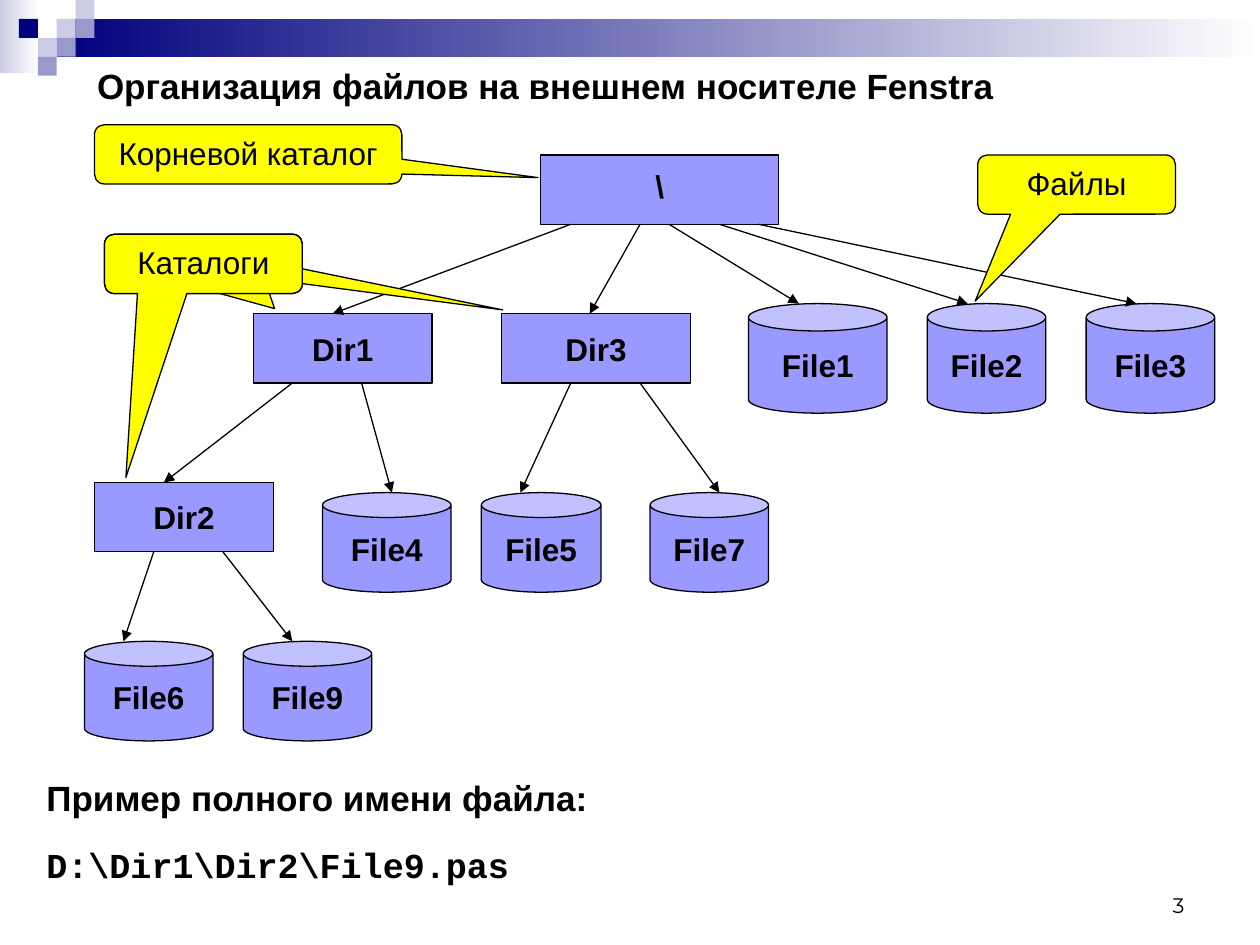
from pptx import Presentation
from pptx.dml.color import RGBColor
from pptx.enum.shapes import MSO_CONNECTOR, MSO_SHAPE
from pptx.enum.text import MSO_ANCHOR, PP_ALIGN
from pptx.oxml.ns import qn
from pptx.util import Inches, Pt
from lxml import etree

RECT, CAN = MSO_SHAPE.RECTANGLE, MSO_SHAPE.CAN
CALLOUT = MSO_SHAPE.ROUNDED_RECTANGULAR_CALLOUT
STRAIGHT = MSO_CONNECTOR.STRAIGHT
TOP, MIDDLE, BOTTOM = MSO_ANCHOR.TOP, MSO_ANCHOR.MIDDLE, MSO_ANCHOR.BOTTOM
LEFT, CENTER, RIGHT = PP_ALIGN.LEFT, PP_ALIGN.CENTER, PP_ALIGN.RIGHT

COLORS = {
    "black": "000000", "white": "FFFFFF", "navy": "00007D", "pale": "CCCCE6",
    "lilac": "9999CC", "node": "9999FF", "note": "FFFF00",
}
COLUMNS, ROWS = 100, 75
TILE = 1.5


def rgb(name):
    return RGBColor.from_string(COLORS[name])


class SlideBuilder:
    font_name = "Arial"
    line_width = Pt(0.75)

    def __init__(self, deck):
        self.cell_width = deck.slide_width / COLUMNS
        self.cell_height = deck.slide_height / ROWS
        self.slide = deck.slides.add_slide(deck.slide_layouts[5])

    def place(self, *cells):
        units = (self.cell_width, self.cell_height) * 2
        return [round(cell * unit) for cell, unit in zip(cells, units)]

    def fill_text(self, shape, lines, anchor=MIDDLE, wrap=True, align=CENTER, **font):
        frame = shape.text_frame
        frame.word_wrap = wrap
        frame.vertical_anchor = anchor
        frame.text = "\n".join(lines)
        style = {"name": self.font_name, "size": Pt(18), "bold": False, **font}
        for para in frame.paragraphs:
            para.alignment = align
            for span in para.runs:
                for key, value in style.items():
                    setattr(span.font, key, value)
                span.font.color.rgb = rgb("black")
        return frame.paragraphs

    def title(self, text, area):
        box = self.slide.shapes.title
        box.left, box.top, box.width, box.height = self.place(*area)
        self.fill_text(box, [text], align=LEFT, size=Pt(20), bold=True)

    def text(self, lines, area, **style):
        box = self.slide.shapes.add_textbox(*self.place(*area))
        return self.fill_text(box, lines, **style)

    def shape(self, kind, area, color):
        shape = self.slide.shapes.add_shape(kind, *self.place(*area))
        shape.shadow.inherit = False
        shape.fill.solid()
        shape.fill.fore_color.rgb = rgb(color)
        shape.line.fill.background()
        return shape

    def fade(self, area, color):
        band = self.shape(RECT, area, color)
        band.fill.gradient()
        band.fill.gradient_angle = 0
        for stop, name in zip(band.fill.gradient_stops, (color, "white")):
            stop.color.rgb = rgb(name)

    def outlined(self, kind, area, color):
        shape = self.shape(kind, area, color)
        shape.line.color.rgb = rgb("black")
        shape.line.width = self.line_width
        return shape

    def node(self, kind, label, area):
        shape = self.outlined(kind, area, "node")
        return self.fill_text(shape, [label], wrap=False, bold=True)

    def callout(self, label, area, target):
        shape = self.outlined(CALLOUT, area, "note")
        left, top, width, height = area
        shape.adjustments[0] = (target[0] - left) / width - 0.5
        shape.adjustments[1] = (target[1] - top) / height - 0.5
        self.fill_text(shape, [label], anchor=TOP)

    def arrow(self, start, end):
        arrow = self.slide.shapes.add_connector(STRAIGHT, *self.place(*start, *end))
        arrow.line.color.rgb = rgb("black")
        arrow.line.width = self.line_width
        properties = arrow._element.spPr
        etree.SubElement(properties.get_or_add_ln(), qn("a:tailEnd"), type="triangle")
        etree.SubElement(properties, qn("a:effectLst"))


def main():
    deck = Presentation()
    deck.slide_width, deck.slide_height = Inches(10), Inches(7.5)
    page = SlideBuilder(deck)

    page.fade((0, 0, 3.1, 5.8), "pale")
    page.fade((4.5, 1.5, 95.5, 3), "navy")
    tiles = [
        (3, 1, "pale"), (4, 0, "pale"), (4, 1, "lilac"), (2, 2, "pale"),
        (1, 1, "navy"), (3, 2, "lilac"), (2, 3, "lilac"),
    ]
    for column, row, color in tiles:
        page.shape(RECT, (column * TILE, row * TILE, TILE, TILE), color)

    page.title("Организация файлов на внешнем носителе Fenstra", (6.7, 4.4, 90.6, 4.7))
    page.text(["3"], (71.7, 68.3, 23.3, 5), anchor=BOTTOM, align=RIGHT,
              name="Montserrat", size=Pt(12))
    example = page.text(["Пример полного имени файла:", r"D:\Dir1\Dir2\File9.pas"],
                        (2.7, 61.1, 94.5, 11), anchor=TOP, align=LEFT,
                        size=Pt(20), bold=True)
    example[1].space_before = Pt(5)
    example[1].line_spacing = 1.4
    example[1].runs[0].font.name = "Courier New"

    root = page.node(RECT, "\\", (42.9, 12.3, 18.9, 5.5))
    root[0].line_spacing = 0.8
    folders = [("Dir1", 20.1, 24.9, 14.2), ("Dir3", 39.8, 24.9, 15), ("Dir2", 7.5, 38.3, 14.2)]
    for label, left, top, width in folders:
        page.node(RECT, label, (left, top, width, 5.5))

    file_rows = [
        (24.1, 8.7, [("File1", 59.4, 11), ("File2", 73.6, 9.4), ("File3", 86.2, 10.2)]),
        (39.1, 7.9, [("File4", 25.6, 10.2), ("File5", 38.2, 9.5), ("File7", 51.6, 9.4)]),
        (50.9, 7.9, [("File6", 6.7, 10.2), ("File9", 19.3, 10.2)]),
    ]
    for top, height, files in file_rows:
        for label, left, width in files:
            page.node(CAN, label, (left, top, width, height))

    branches = [
        (17.8, [(60.2, 90.2, 24.1), (57.1, 76.8, 24.1), (53.1, 63.4, 24.1),
                (50.8, 46.8, 24.9), (45.3, 26.4, 24.9)]),
        (30.4, [(45.3, 41.3, 39.1), (50.8, 57.1, 39.1),
                (23.2, 13, 38.3), (28.7, 31.1, 39.1)]),
        (43.8, [(12.2, 9.8, 50.9), (17.7, 23.2, 50.9)]),
    ]
    for start_row, ends in branches:
        for start_column, end_column, end_row in ends:
            page.arrow((start_column, start_row), (end_column, end_row))

    notes = [
        ("Корневой каталог", (7.5, 9.9, 24.4, 4.7), [(42.7, 14.1)]),
        ("Каталоги", (8.3, 18.6, 15.7, 4.7), [(21.8, 24.5), (39.9, 24.6), (10, 37.9)]),
        ("Файлы", (77.6, 12.3, 15.7, 4.7), [(77.4, 23.9)]),
    ]
    for label, area, targets in notes:
        for target in targets:
            page.callout(label, area, target)

    deck.save("out.pptx")


if __name__ == "__main__":
    main()
